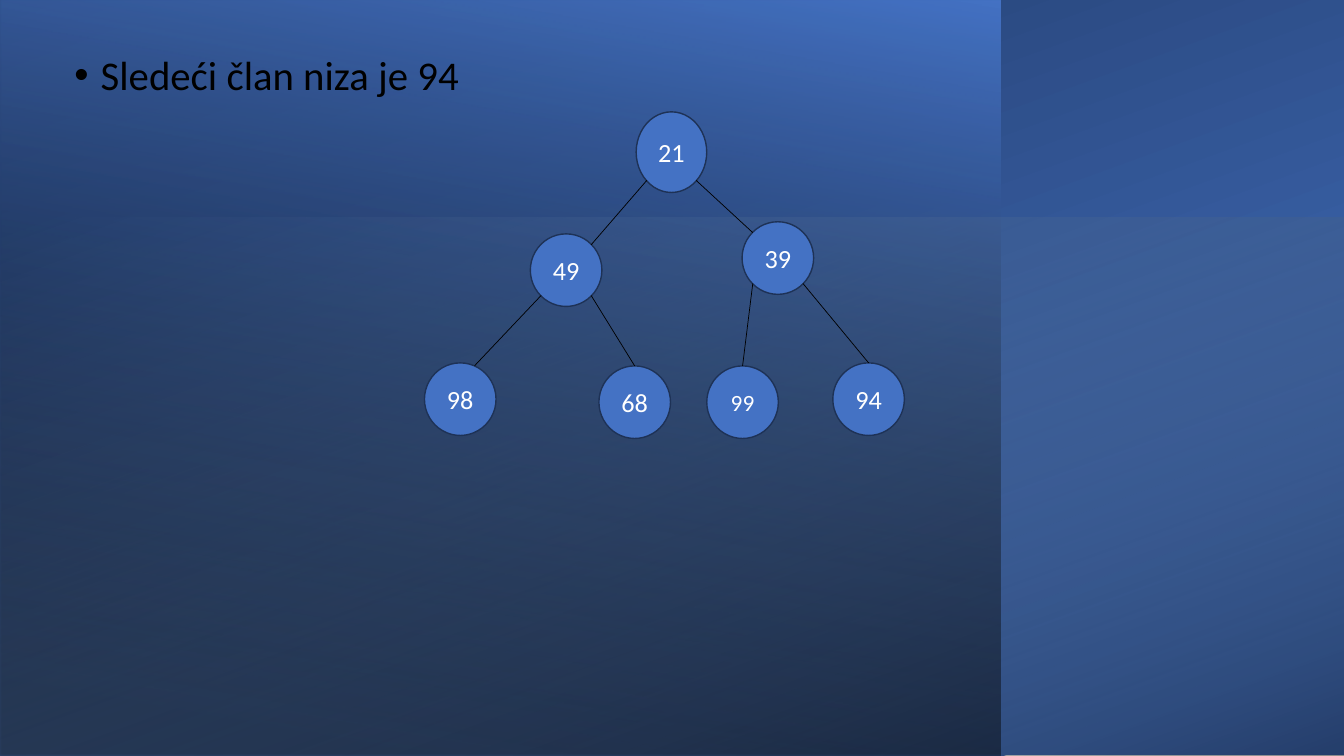
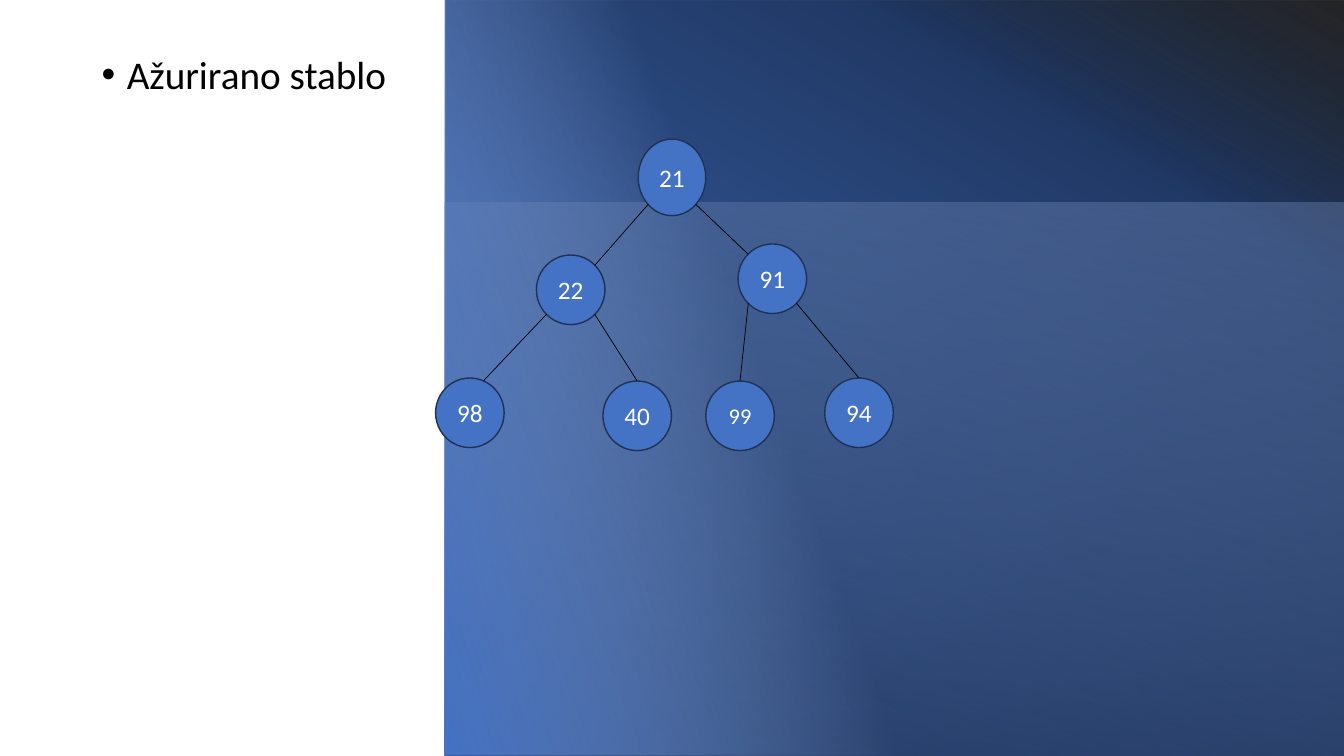
"""Build two slides that show a binary heap before and after an update."""
from lxml import etree
from pptx import Presentation
from pptx.dml.color import RGBColor
from pptx.enum.shapes import MSO_CONNECTOR, MSO_SHAPE
from pptx.enum.text import MSO_ANCHOR, PP_ALIGN
from pptx.oxml.ns import qn
from pptx.util import Pt

PX = 9144
SLIDE_W, SLIDE_H = 1333, 750
FONT = "Calibri"
RECT, OVAL = MSO_SHAPE.RECTANGLE, MSO_SHAPE.OVAL
STRAIGHT = MSO_CONNECTOR.STRAIGHT
MIDDLE, CENTER = MSO_ANCHOR.MIDDLE, PP_ALIGN.CENTER
COLORS = {
    "blue": "4472C4", "navy": "203864", "outline": "1E3256", "sky": "9DC3E6",
    "pale": "8FAADC", "black": "000000", "white": "FFFFFF",
}

# Centre offset from the slide's middle, top offset, width, height, text size
NODES = [
    (0, 0, 67, 76, 18),
    (-100, 115, 68, 69, 18),
    (100, 104, 68, 69, 18),
    (-200, 237, 68, 69, 18),
    (-35, 240, 68, 69, 18),
    (67, 240, 68, 69, 16),
    (186, 237, 68, 69, 18),
]
NEAR, FAR = 0.15, 0.85
TOP = (0.5, 0)
# Parent, start across its width, child, end as a share of its box
EDGES = [
    (0, NEAR, 1, (FAR, NEAR)),
    (0, FAR, 2, (NEAR, NEAR)),
    (1, NEAR, 3, (0.7, 0.04)),
    (1, FAR, 4, TOP),
    (2, NEAR, 5, TOP),
    (2, FAR, 6, TOP),
]

# Box, rotation, flipped, gradient angle, stops of position, colour and opacity
SLIDES = [
    {
        "panels": [
            ((292, -292, 750, 1333), 270, True, 200,
             [(8, "blue", 100), (100, "navy", 100)]),
            ((0, 0, 992, 750), 180, True, 80,
             [(8, "black", 52), (100, "blue", 100)]),
            ((399, -184, 535, 1334), 270, True, 20,
             [(0, "sky", 0), (100, "black", 46)]),
        ],
        "text": "Sledeći član niza je 94", "box": (64, 50, 1205, 650),
        "values": [21, 49, 39, 98, 68, 99, 94],
        "top": 111, "scale": 1.05, "text_scale": 1.04,
    },
    {
        "panels": [
            ((442, 0, 892, 750), 0, False, 300,
             [(2, "blue", 100), (78, "navy", 100), (100, "black", 85)]),
            ((441, 201, 892, 549), 0, True, 80,
             [(0, "pale", 30), (100, "black", 44)]),
            ((444, -4, 750, 757), 90, True, 110,
             [(56, "pale", 0), (100, "blue", 100)]),
        ],
        "text": "Ažurirano stablo", "box": (91, 50, 1151, 650),
        "values": [21, 22, 91, 98, 40, 99, 94],
        "top": 138, "scale": 1, "text_scale": 1,
    },
]


def px(*lengths):
    """Turn pixel lengths into EMU."""
    return [round(n) * PX for n in lengths]


def rgb(name):
    """Return a named colour."""
    return RGBColor.from_string(COLORS[name])


def style_paragraph(p, size, color):
    """Format the runs of a paragraph."""
    for r in p.runs:
        r.font.name, r.font.size = FONT, Pt(size)
        r.font.color.rgb = rgb(color)


def add_panel(slide, box, rotation, flipped, angle, stops):
    """Add a rectangle with a gradient of partly transparent stops."""
    sp = slide.shapes.add_shape(RECT, *px(*box))
    sp.shadow.inherit = False
    sp.rotation = rotation
    if flipped:
        sp._element.spPr.find(qn("a:xfrm")).set("flipH", "1")
    sp.line.fill.background()
    sp.fill.gradient()
    sp.fill.gradient_angle = 360 - angle
    gs_list = sp._element.spPr.find(".//" + qn("a:gsLst"))
    for gs in list(gs_list):
        gs_list.remove(gs)
    for position, color, opacity in stops:
        gs = etree.SubElement(gs_list, qn("a:gs"), pos=str(position * 1000))
        clr = etree.SubElement(gs, qn("a:srgbClr"), val=COLORS[color])
        etree.SubElement(clr, qn("a:alpha"), val=str(opacity * 1000))


def add_bullet(slide, text, box, scale):
    """Add the bulleted line at the top of a slide."""
    tf = slide.shapes.add_textbox(*px(*box)).text_frame
    tf.word_wrap = True
    p = tf.paragraphs[0]
    p.text = text
    p.line_spacing, p.space_before = 0.9, Pt(10 * scale)
    style_paragraph(p, 28 * scale, "black")
    indent = px(25 * scale)[0]
    props = p._p.get_or_add_pPr()
    props.set("marL", str(indent))
    props.set("indent", str(-indent))
    etree.SubElement(props, qn("a:buFont"), typeface="Arial")
    etree.SubElement(props, qn("a:buChar"), char="•")


def add_node(slide, value, box, size):
    """Add a tree node with its value."""
    sp = slide.shapes.add_shape(OVAL, *px(*box))
    sp.shadow.inherit = False
    sp.fill.solid()
    sp.fill.fore_color.rgb = rgb("blue")
    sp.line.color.rgb = rgb("outline")
    sp.line.width = Pt(1)
    tf = sp.text_frame
    tf.margin_left = tf.margin_right = 0
    tf.vertical_anchor = MIDDLE
    p = tf.paragraphs[0]
    p.text = str(value)
    p.alignment, p.space_after = CENTER, Pt(6)
    style_paragraph(p, size, "white")
    return sp


def point_on(sp, across, down):
    """Return a point given as shares of a shape's box."""
    return round(sp.left + sp.width * across), round(sp.top + sp.height * down)


def add_edge(slide, parent, across, child, end):
    """Add the line from a parent node to its child."""
    line = slide.shapes.add_connector(
        STRAIGHT, *point_on(parent, across, FAR), *point_on(child, *end))
    if end == TOP:
        line.end_connect(child, 0)
    line.line.color.rgb = rgb("black")
    line.line.width = Pt(0.5)
    etree.SubElement(line._element.spPr, qn("a:effectLst"))


def add_tree(slide, values, top, scale, text_scale):
    """Add the nodes and edges of a heap at a given scale."""
    nodes = []
    for value, (dx, dy, w, h, size) in zip(values, NODES):
        box = (SLIDE_W / 2 + (dx - w / 2) * scale, top + dy * scale,
               w * scale, h * scale)
        nodes.append(add_node(slide, value, box, size * text_scale))
    for parent, across, child, end in EDGES:
        add_edge(slide, nodes[parent], across, nodes[child], end)


def main():
    """Build and save the presentation."""
    prs = Presentation()
    prs.slide_width, prs.slide_height = px(SLIDE_W, SLIDE_H)
    for content in SLIDES:
        slide = prs.slides.add_slide(prs.slide_layouts[6])
        for panel in content["panels"]:
            add_panel(slide, *panel)
        add_bullet(slide, content["text"], content["box"], content["text_scale"])
        add_tree(slide, content["values"], content["top"], content["scale"],
                 content["text_scale"])
    prs.save("out.pptx")


if __name__ == "__main__":
    main()
